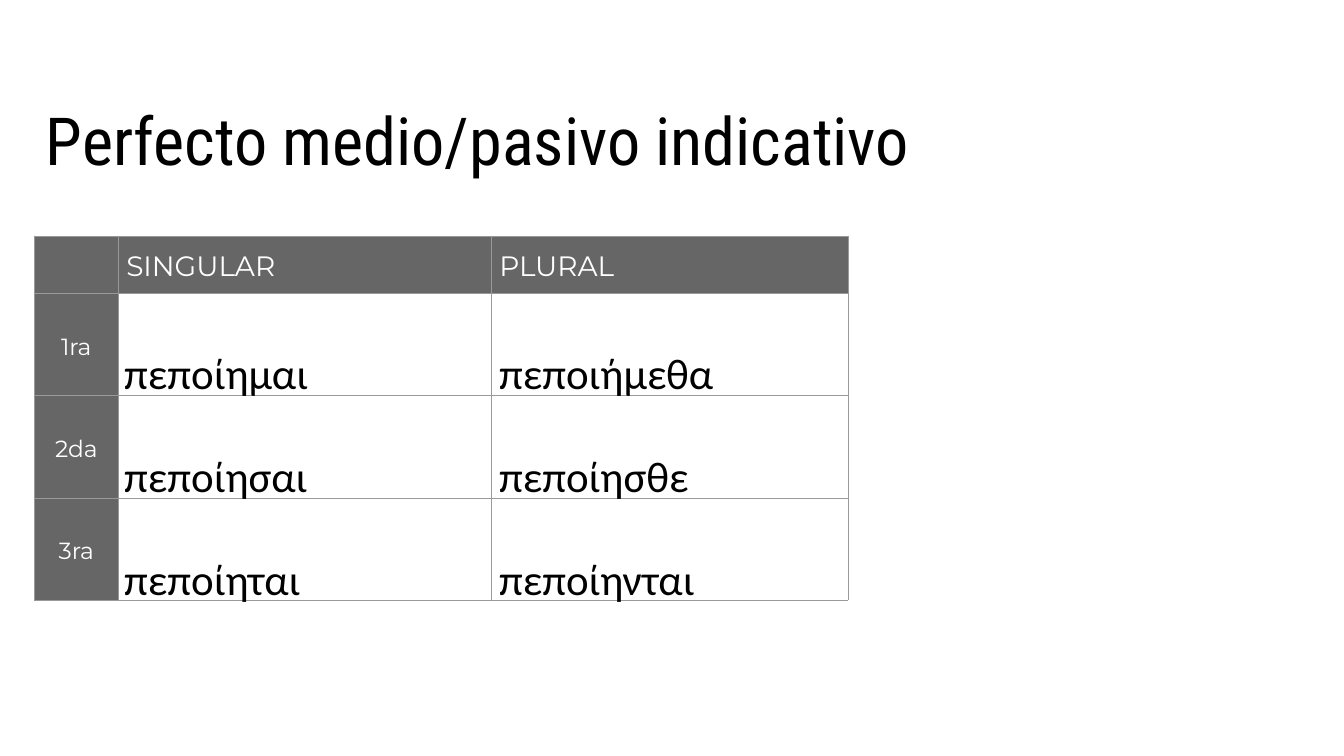
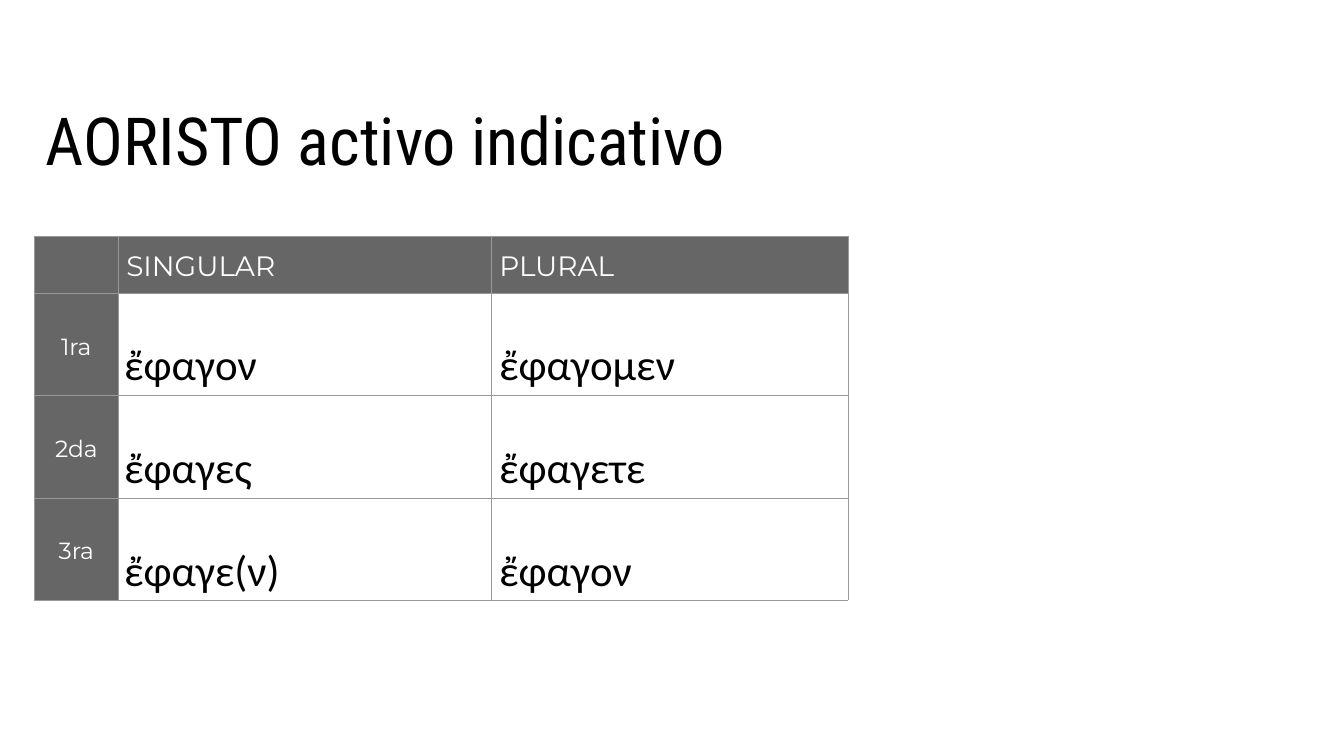
from lxml import etree
from pptx import Presentation
from pptx.dml.color import RGBColor
from pptx.enum.text import MSO_ANCHOR as Anchor, MSO_AUTO_SIZE as AutoSize, PP_ALIGN as Align
from pptx.oxml.ns import qn
from pptx.util import Inches, Pt

BLACK = RGBColor(0x00, 0x00, 0x00)
WHITE = RGBColor(0xFF, 0xFF, 0xFF)
HEADER_GRAY = RGBColor(0x66, 0x66, 0x66)
RULE_GRAY = RGBColor(0x99, 0x99, 0x99)

TITLE_BOX = (0.51, 1.31, 16.82, 1.17)
TABLE_BOX = (0.51, 3.51, 12.11, 5.42)
COLUMN_WIDTHS = (1.25, 5.55, 5.31)
HEADER_HEIGHT = 0.86
NUMBERS = ("SINGULAR", "PLURAL")
PERSONS = ("1ra", "2da", "3ra")
FORMS_LEFTS = (1.75, 7.33)
FORMS_HEIGHT = 4.63

CONJUGATIONS = (
    ("Perfecto medio/pasivo indicativo", 4.29, (5.4, 5.16),
     (("πεποίημαι", "πεποίησαι", "πεποίηται"),
      ("πεποιήμεθα", "πεποίησθε", "πεποίηνται"))),
    ("AORISTO activo indicativo", 4.15, (4.07, 3.91),
     (("ἔφαγον", "ἔφαγες", "ἔφαγε(ν)"),
      ("ἔφαγομεν", "ἔφαγετε", "ἔφαγον"))),
)


def set_margins(holder, inches):
    """Give a cell or text frame the same margin on all sides."""
    holder.margin_left = holder.margin_right = Inches(inches)
    holder.margin_top = holder.margin_bottom = Inches(inches)


def style_paragraph(paragraph, font_name, size, color, spacing, align=Align.LEFT):
    """Set the spacing, alignment and font of a paragraph."""
    paragraph.line_spacing = spacing
    paragraph.alignment = align
    for run in paragraph.runs:
        run.font.name = font_name
        run.font.size = Pt(size)
        run.font.color.rgb = color


def add_borders(cell):
    """Draw a thin gray rule on each side of a cell."""
    properties = cell._tc.get_or_add_tcPr()
    for position, side in enumerate(("a:lnL", "a:lnR", "a:lnT", "a:lnB")):
        rule = etree.Element(qn(side), w=str(Pt(0.75)))
        fill = etree.SubElement(rule, qn("a:solidFill"))
        etree.SubElement(fill, qn("a:srgbClr"), val=str(RULE_GRAY))
        properties.insert(position, rule)


def fill_heading(cell, text, size, margin, align):
    """Write a white heading on a gray cell."""
    cell.text_frame.text = text
    set_margins(cell, margin)
    style_paragraph(cell.text_frame.paragraphs[0], "Montserrat", size, WHITE, 1.15, align)


def add_title(slide, text, box):
    """Place and format the slide title."""
    title = slide.shapes.title
    title.left, title.top, title.width, title.height = map(Inches, box)
    frame = title.text_frame
    frame.text = text
    frame.word_wrap = True
    frame.auto_size = AutoSize.NONE
    frame.vertical_anchor = Anchor.TOP
    set_margins(frame, 0.17)
    style_paragraph(frame.paragraphs[0], "Roboto Condensed", 71, BLACK, 1.0)


def add_person_table(slide, box):
    """Draw the grid of persons by number."""
    table = slide.shapes.add_table(len(PERSONS) + 1, len(NUMBERS) + 1, *map(Inches, box)).table
    table.first_row = table.horz_banding = False
    for column, width in zip(table.columns, COLUMN_WIDTHS):
        column.width = Inches(width)
    person_height = (box[3] - HEADER_HEIGHT) / len(PERSONS)
    for index, row in enumerate(table.rows):
        row.height = Inches(person_height if index else HEADER_HEIGHT)
        for position, cell in enumerate(row.cells):
            if index and position:
                cell.fill.background()
            else:
                cell.fill.solid()
                cell.fill.fore_color.rgb = HEADER_GRAY
            add_borders(cell)
    for position, number in enumerate(NUMBERS, 1):
        fill_heading(table.cell(0, position), number, 30, 0.12, Align.LEFT)
    for index, person in enumerate(PERSONS, 1):
        label = table.cell(index, 0)
        fill_heading(label, person, 25, 0.1, Align.CENTER)
        label.vertical_anchor = Anchor.MIDDLE


def add_verb_forms(slide, forms, box):
    """Stack the verb forms of one number, one per person."""
    frame = slide.shapes.add_textbox(*map(Inches, box)).text_frame
    frame.word_wrap = True
    set_margins(frame, 0.1)
    frame.text = "\n".join(forms)
    for paragraph in frame.paragraphs:
        style_paragraph(paragraph, "Calibri", 46, BLACK, 2.0)


def add_conjugation_slide(deck, title, forms_top, widths, forms_by_number):
    """Build a slide with the conjugation of one tense."""
    slide = deck.slides.add_slide(deck.slide_layouts[5])
    add_title(slide, title, TITLE_BOX)
    add_person_table(slide, TABLE_BOX)
    for left, width, forms in zip(FORMS_LEFTS, widths, forms_by_number):
        add_verb_forms(slide, forms, (left, forms_top, width, FORMS_HEIGHT))


def main():
    """Build and save the deck."""
    deck = Presentation()
    deck.slide_width, deck.slide_height = Inches(20), Inches(11.25)
    for conjugation in CONJUGATIONS:
        add_conjugation_slide(deck, *conjugation)
    deck.save("out.pptx")


if __name__ == "__main__":
    main()
